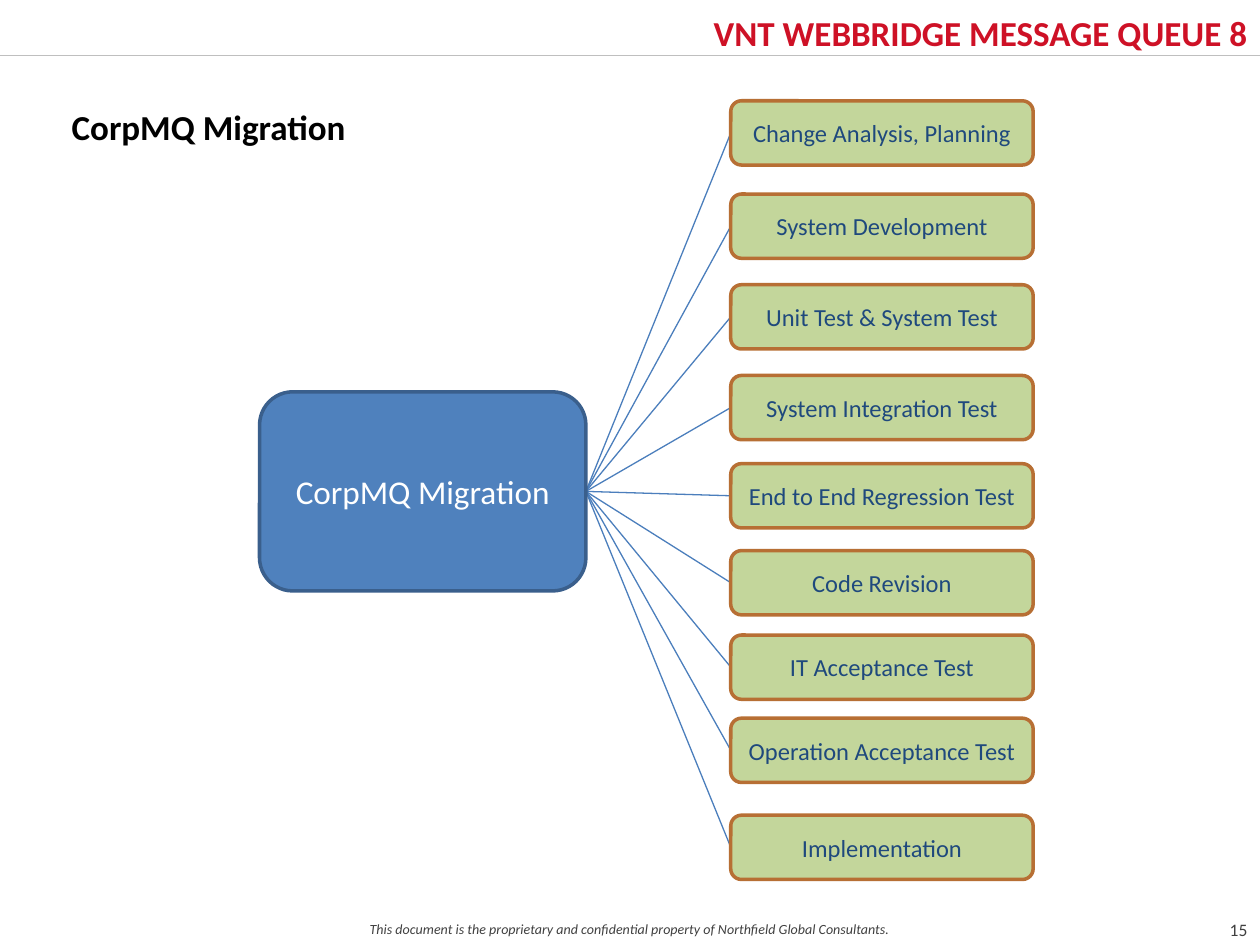
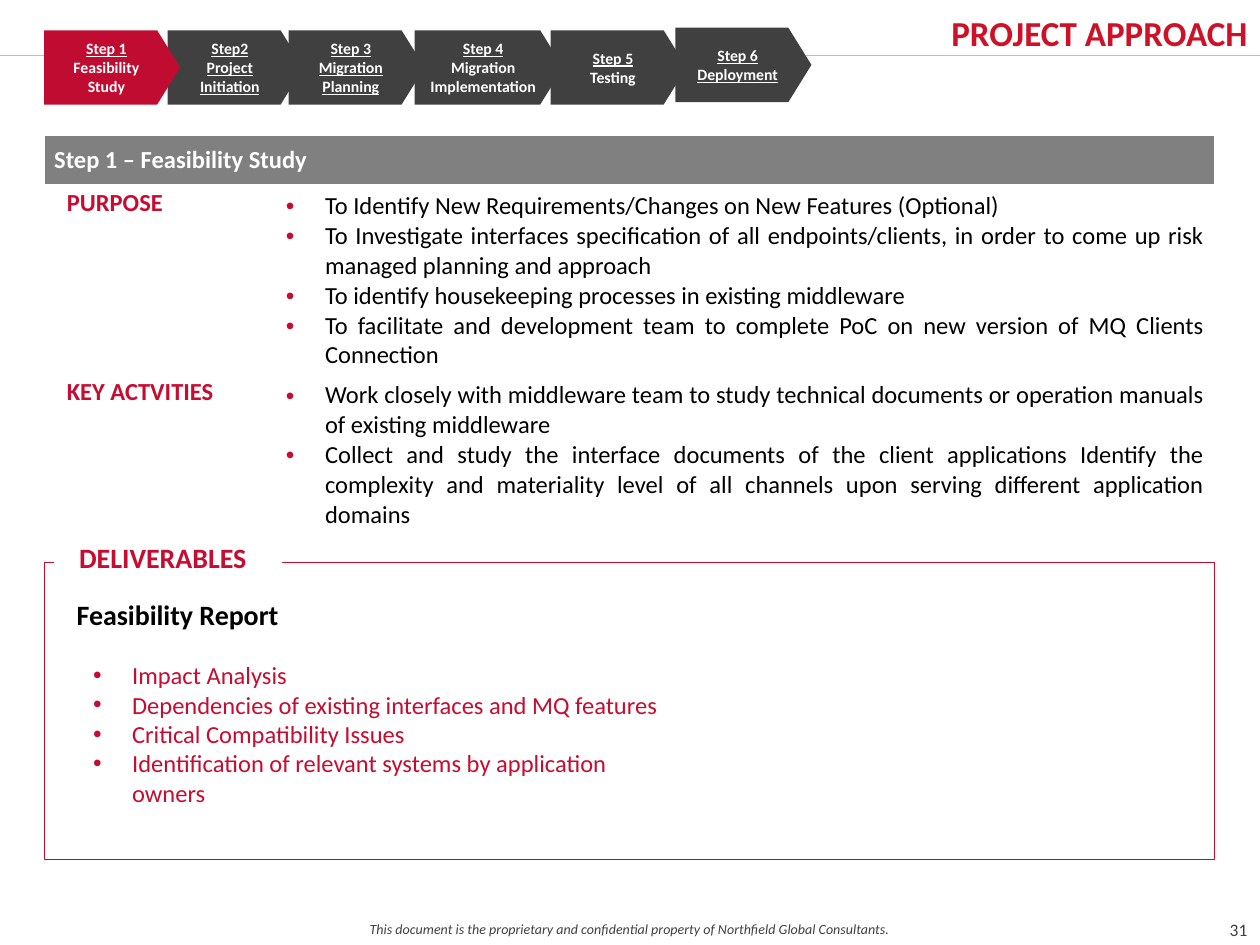
from dataclasses import dataclass, replace

from lxml.etree import SubElement
from pptx import Presentation
from pptx.dml.color import RGBColor
from pptx.enum.shapes import MSO_CONNECTOR, MSO_SHAPE
from pptx.enum.text import MSO_ANCHOR, PP_ALIGN
from pptx.oxml.ns import qn
from pptx.util import Inches, Pt

WHITE = RGBColor(0xFF, 0xFF, 0xFF)
BLACK = RGBColor(0x00, 0x00, 0x00)
TITLE_RED = RGBColor(0xCE, 0x11, 0x26)
CRIMSON = RGBColor(0xC6, 0x0C, 0x30)
ACTIVE_RED = RGBColor(0xC0, 0x0C, 0x30)
CHARCOAL = RGBColor(0x40, 0x40, 0x40)
BAND_GREY = RGBColor(0x80, 0x80, 0x80)
RULE_GREY = RGBColor(0xBF, 0xBF, 0xBF)
HUB_BLUE = RGBColor(0x4F, 0x81, 0xBD)
HUB_EDGE = RGBColor(0x3A, 0x5F, 0x8C)
LINK_BLUE = RGBColor(0x4B, 0x7E, 0xBC)
PHASE_GREEN = RGBColor(0xC3, 0xD6, 0x9B)
PHASE_EDGE = RGBColor(0xB7, 0x6F, 0x34)
PHASE_TEXT = RGBColor(0x1F, 0x49, 0x7D)

FONT = "Calibri"
FOOTER = "This document is the proprietary and confidential property of Northfield Global Consultants."
DEFAULT_INSETS = (0.1, 0.05, 0.1, 0.05)
FOOTER_INSETS = (0.11, 0.05, 0.11, 0.05)


@dataclass(frozen=True)
class Box:
    left: float
    top: float
    width: float
    height: float

    def inches(self) -> tuple:
        return tuple(Inches(v) for v in (self.left, self.top, self.width, self.height))


@dataclass(frozen=True)
class Style:
    size: float
    color: RGBColor
    bold: bool = False
    italic: bool = False
    align: PP_ALIGN = PP_ALIGN.LEFT
    margin: float = 0
    bulleted: bool = False
    bullet_color: RGBColor | None = None
    line_pt: float | None = None


@dataclass(frozen=True)
class Phase:
    name: str
    top: float


@dataclass(frozen=True)
class Step:
    number: str
    name: str
    left: float
    top: float = 0.24
    width: float = 1.08
    fill: RGBColor = CHARCOAL
    underlined: bool = True


@dataclass(frozen=True)
class Section:
    label: str
    points: tuple[str, ...]


TITLE = Style(20, TITLE_RED, bold=True, align=PP_ALIGN.RIGHT)
HEADING = Style(20, BLACK, bold=True)
FOOTNOTE = Style(8, CHARCOAL, italic=True, align=PP_ALIGN.CENTER)
PAGE_NUMBER = Style(10, CHARCOAL, align=PP_ALIGN.CENTER)
HUB_LABEL = Style(19, WHITE, align=PP_ALIGN.CENTER)
PHASE_LABEL = Style(14, PHASE_TEXT, align=PP_ALIGN.CENTER)
STEP_LABEL = Style(9, WHITE, bold=True, align=PP_ALIGN.CENTER)
BAND_LABEL = Style(14, WHITE, bold=True)
SECTION_LABEL = Style(14, CRIMSON, bold=True, margin=0.1, line_pt=15)
POINT = Style(14, BLACK, align=PP_ALIGN.JUSTIFY, margin=0.31, bulleted=True, bullet_color=CRIMSON)
DELIVERABLE = replace(POINT, color=CRIMSON, align=PP_ALIGN.LEFT)
DELIVERABLES_LABEL = replace(SECTION_LABEL, size=16)
REPORT_HEADING = replace(HEADING, size=16)

HUB = Box(2.06, 3.11, 2.59, 1.58)
PHASE_LEFT, PHASE_WIDTH, PHASE_HEIGHT = 5.8, 2.4, 0.51
PHASES = (
    Phase("Change Analysis, Planning", 0.8),
    Phase("System Development", 1.54),
    Phase("Unit Test & System Test", 2.26),
    Phase("System Integration Test", 2.98),
    Phase("End to End Regression Test", 3.68),
    Phase("Code Revision", 4.37),
    Phase("IT Acceptance Test", 5.04),
    Phase("Operation Acceptance Test", 5.7),
    Phase("Implementation", 6.47),
)

STEP_HEIGHT = 0.59
STEPS = (
    Step("Step 1", "Feasibility Study", 0.35, fill=ACTIVE_RED, underlined=False),
    Step("Step2", "Project Initiation", 1.33),
    Step("Step 3", "Migration Planning", 2.29),
    Step("Step 4", "Migration Implementation", 3.29, width=1.18, underlined=False),
    Step("Step 5", "Testing", 4.37, underlined=False),
    Step("Step 6", "Deployment", 5.36, top=0.22),
)
SECTIONS = (
    Section("PURPOSE", (
        "To Identify New Requirements/Changes on New Features (Optional)",
        "To Investigate interfaces specification of all endpoints/clients, in order to come up "
        "risk managed planning and approach",
        "To identify housekeeping processes in existing middleware",
        "To facilitate and development team to complete PoC on new version of MQ Clients Connection",
    )),
    Section("KEY ACTVITIES", (
        "Work closely with middleware team to study technical documents or operation manuals "
        "of existing middleware",
        "Collect and study the interface documents of the client applications Identify the "
        "complexity and materiality level of all channels upon serving different application domains",
    )),
)
DELIVERABLES = (
    "Impact Analysis",
    "Dependencies of existing interfaces and MQ features",
    "Critical Compatibility Issues",
    "Identification of relevant systems by application owners",
)


def format_paragraph(p, style: Style) -> None:
    p.alignment = style.align
    if style.line_pt:
        p.line_spacing = Pt(style.line_pt)
    pPr = p._p.get_or_add_pPr()
    if style.margin:
        pPr.set("marL", str(Inches(style.margin)))
    if style.bulleted:
        pPr.set("indent", str(-Inches(style.margin)))
        if style.bullet_color is not None:
            color = SubElement(pPr, qn("a:buClr"))
            SubElement(color, qn("a:srgbClr")).set("val", str(style.bullet_color))
        SubElement(pPr, qn("a:buFont")).set("typeface", "Arial")
        SubElement(pPr, qn("a:buChar")).set("char", "•")
    for r in p.runs:
        r.font.name = FONT
        r.font.size = Pt(style.size)
        r.font.bold = style.bold
        r.font.italic = style.italic
        r.font.color.rgb = style.color


def write(tf, lines: tuple[str, ...], style: Style) -> None:
    tf.text = "\n".join(lines)
    for p in tf.paragraphs:
        format_paragraph(p, style)


def set_frame(tf, anchor=MSO_ANCHOR.TOP, insets: tuple = DEFAULT_INSETS) -> None:
    tf.word_wrap = True
    tf.vertical_anchor = anchor
    tf.margin_left, tf.margin_top, tf.margin_right, tf.margin_bottom = map(Inches, insets)


def add_text(s, box: Box, lines: tuple[str, ...], style: Style,
             anchor=MSO_ANCHOR.TOP, insets: tuple = DEFAULT_INSETS) -> None:
    tf = s.shapes.add_textbox(*box.inches()).text_frame
    set_frame(tf, anchor, insets)
    write(tf, lines, style)


def add_box(s, kind: MSO_SHAPE, box: Box, fill: RGBColor | None = None,
            edge: RGBColor | None = None, edge_pt: float = 2, anchor=MSO_ANCHOR.MIDDLE):
    sp = s.shapes.add_shape(kind, *box.inches())
    sp.shadow.inherit = False
    if fill is None:
        sp.fill.background()
    else:
        sp.fill.solid()
        sp.fill.fore_color.rgb = fill
    if edge is None:
        sp.line.fill.background()
    else:
        sp.line.color.rgb = edge
        sp.line.width = Pt(edge_pt)
    set_frame(sp.text_frame, anchor)
    return sp


def add_line(s, start: tuple[float, float], end: tuple[float, float],
             color: RGBColor, width: float) -> None:
    line = s.shapes.add_connector(MSO_CONNECTOR.STRAIGHT, *map(Inches, start + end))
    line.line.color.rgb = color
    line.line.width = Pt(width)
    SubElement(line._element.spPr, qn("a:effectLst"))


def add_slide(prs, title: str, number: int):
    s = prs.slides.add_slide(prs.slide_layouts[6])
    add_text(s, Box(0, 7.26, 10, 0.24), (FOOTER,), FOOTNOTE, insets=FOOTER_INSETS)
    add_text(s, Box(9.6, 7.16, 0.46, 0.43), (str(number),), PAGE_NUMBER,
             MSO_ANCHOR.MIDDLE, FOOTER_INSETS)
    add_line(s, (0, 0.44), (10, 0.44), RULE_GREY, 0.5)
    add_text(s, Box(4.01, 0.02, 5.99, 0.42), (title,), TITLE, insets=(0, 0.07, 0.1, 0.07))
    return s


def add_phase(s, phase: Phase) -> None:
    hub_port = (HUB.left + HUB.width, HUB.top + HUB.height / 2)
    add_line(s, hub_port, (PHASE_LEFT, phase.top + PHASE_HEIGHT / 2), LINK_BLUE, 0.75)
    box = Box(PHASE_LEFT, phase.top, PHASE_WIDTH, PHASE_HEIGHT)
    sp = add_box(s, MSO_SHAPE.FLOWCHART_ALTERNATE_PROCESS, box, PHASE_GREEN, PHASE_EDGE)
    write(sp.text_frame, (phase.name,), PHASE_LABEL)


def add_step(s, step: Step) -> None:
    box = Box(step.left, step.top, step.width, STEP_HEIGHT)
    sp = add_box(s, MSO_SHAPE.PENTAGON, box, step.fill)
    sp.adjustments[0] = 0.31
    tf = sp.text_frame
    write(tf, (step.number, step.name), STEP_LABEL)
    for p, underlined in zip(tf.paragraphs, (True, step.underlined)):
        p.runs[0].font.underline = underlined


def fill_cell(cell, lines: tuple[str, ...], style: Style, fill: RGBColor = WHITE) -> None:
    cell.fill.solid()
    cell.fill.fore_color.rgb = fill
    cell.margin_left = cell.margin_right = Inches(0.08)
    cell.margin_top = cell.margin_bottom = Inches(0.05)
    write(cell.text_frame, lines, style)


def add_sections(s) -> None:
    widths, heights = (1.84, 7.45), (0.4, 1.03, 1.72)
    box = Box(0.35, 1.07, sum(widths), sum(heights))
    table = s.shapes.add_table(len(heights), len(widths), *box.inches()).table
    table.horz_banding = False
    for column, width in zip(table.columns, widths):
        column.width = Inches(width)
    for row, height in zip(table.rows, heights):
        row.height = Inches(height)
    band = table.cell(0, 0)
    band.merge(table.cell(0, 1))
    band.vertical_anchor = MSO_ANCHOR.MIDDLE
    fill_cell(band, ("Step 1 – Feasibility Study",), BAND_LABEL, BAND_GREY)
    for i, section in enumerate(SECTIONS, start=1):
        fill_cell(table.cell(i, 0), (section.label,), SECTION_LABEL)
        fill_cell(table.cell(i, 1), section.points, POINT)


def build_migration(prs) -> None:
    s = add_slide(prs, "VNT WEBBRIDGE MESSAGE QUEUE 8", 15)
    add_text(s, Box(0.47, 0.79, 9.02, 0.44), ("CorpMQ Migration",), HEADING)
    for phase in PHASES:
        add_phase(s, phase)
    hub = add_box(s, MSO_SHAPE.FLOWCHART_ALTERNATE_PROCESS, HUB, HUB_BLUE, HUB_EDGE)
    write(hub.text_frame, ("CorpMQ Migration",), HUB_LABEL)


def build_approach(prs) -> None:
    s = add_slide(prs, "PROJECT APPROACH", 31)
    add_sections(s)
    add_text(s, Box(0.64, 5.19, 4.72, 1.55), DELIVERABLES, DELIVERABLE)
    add_box(s, MSO_SHAPE.RECTANGLE, Box(0.35, 4.46, 9.29, 2.36), edge=CRIMSON, edge_pt=0.25)
    label = add_box(s, MSO_SHAPE.RECTANGLE, Box(0.43, 4.3, 1.81, 0.32), WHITE,
                    anchor=MSO_ANCHOR.TOP)
    write(label.text_frame, ("DELIVERABLES",), DELIVERABLES_LABEL)
    add_text(s, Box(0.51, 4.69, 4.41, 0.37), ("Feasibility Report",), REPORT_HEADING)
    for step in reversed(STEPS):
        add_step(s, step)


def main() -> None:
    prs = Presentation()
    prs.slide_width, prs.slide_height = Inches(10), Inches(7.5)
    build_migration(prs)
    build_approach(prs)
    prs.save("out.pptx")


if __name__ == "__main__":
    main()
